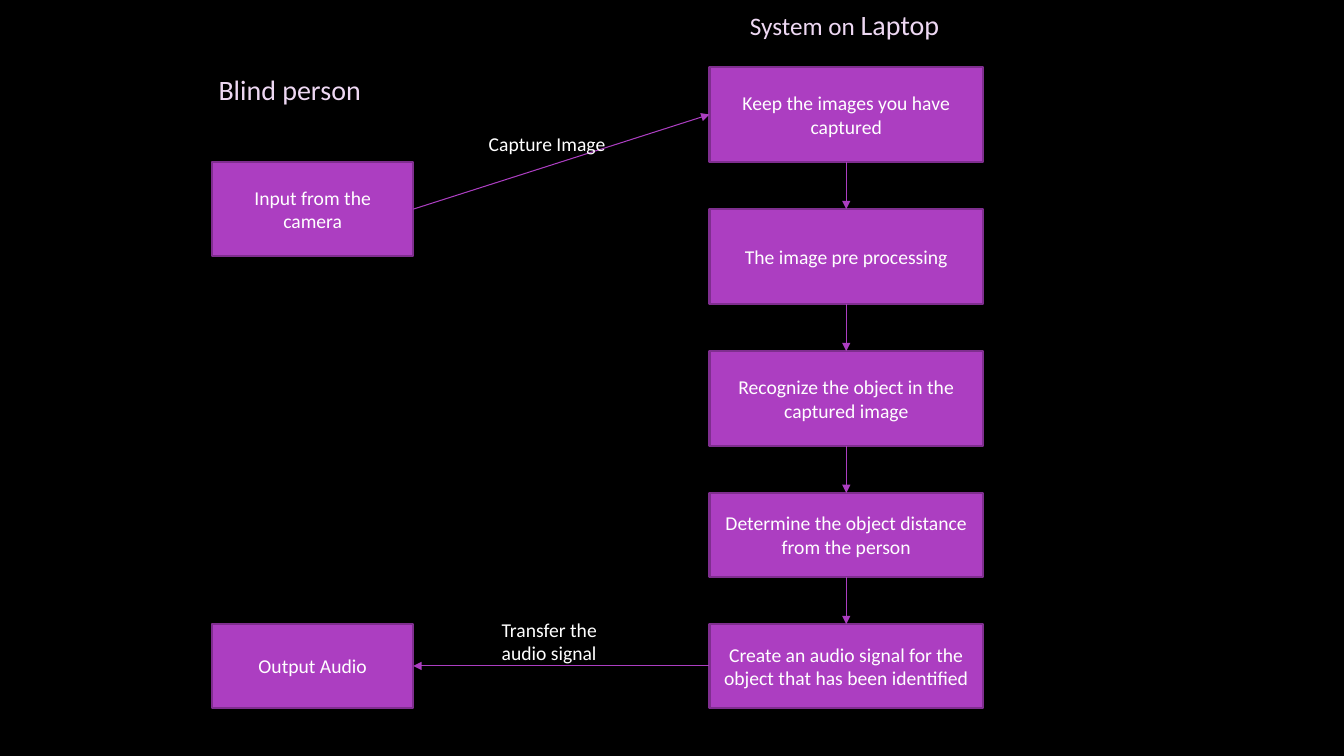
from dataclasses import dataclass

from lxml import etree
from pptx import Presentation
from pptx import util as u
from pptx.dml.color import RGBColor
from pptx.enum import shapes, text
from pptx.oxml import ns


@dataclass(frozen=True)
class Theme:
    background: RGBColor = RGBColor.from_string("000000")
    box: RGBColor = RGBColor.from_string("AC3EC1")
    border: RGBColor = RGBColor.from_string("7F2E8F")
    label: RGBColor = RGBColor.from_string("FFFFFF")
    heading: RGBColor = RGBColor.from_string("EED8F3")
    font: str = "Calibri"
    label_size: int = 14
    subheading_size: int = 18
    heading_size: int = 20


theme = Theme()
TOP, LEFT, BOTTOM, RIGHT = range(4)


def write(shape, lines, size, color, alignment, anchor, wrap=True):
    frame = shape.text_frame
    frame.text = lines
    frame.word_wrap = wrap
    frame.vertical_anchor = anchor
    for paragraph in frame.paragraphs:
        paragraph.alignment = alignment
        paragraph.font.name = theme.font
        paragraph.font.size = u.Pt(size)
        paragraph.font.color.rgb = color


def add_box(lines, left, top, width, height):
    shape = slide.shapes.add_shape(
        shapes.MSO_SHAPE.RECTANGLE, u.Pt(left), u.Pt(top), u.Pt(width), u.Pt(height))
    shape.shadow.inherit = False
    shape.fill.solid()
    shape.fill.fore_color.rgb = theme.box
    shape.line.color.rgb = theme.border
    shape.line.width = u.Pt(1.5)
    write(shape, lines, theme.label_size, theme.label,
          text.PP_ALIGN.CENTER, text.MSO_ANCHOR.MIDDLE)
    return shape


presentation = Presentation()
presentation.slide_width = u.Pt(960)
presentation.slide_height = u.Pt(540)
slide = presentation.slides.add_slide(presentation.slide_layouts[5])
slide.background.fill.solid()
slide.background.fill.fore_color.rgb = theme.background

title = slide.shapes.title
title.left, title.top, title.width, title.height = map(u.Pt, (528.5, 1.5, 151, 31.5))
write(title, "System on ", theme.heading_size, theme.heading,
      text.PP_ALIGN.LEFT, text.MSO_ANCHOR.TOP, wrap=False)
title.text_frame.auto_size = text.MSO_AUTO_SIZE.NONE
title_line = title.text_frame.paragraphs[0]
title_line.runs[0].font.size = u.Pt(theme.subheading_size)
title_line.add_run().text = "Laptop"

tall, short, gap = 67.6, 59.8, 33.8
steps = [
    ("Keep the images you have captured", tall),
    ("The image pre processing", tall),
    ("Recognize the object in the captured image", tall),
    ("Determine the object distance from the person", short),
    ("Create an audio signal for the object that has been identified", short),
]
step_boxes = []
top = 48
for step, height in steps:
    step_boxes.append(add_box(step, 506.8, top, 195.4, height))
    top += height + gap

person_left, person_width = 151.6, 143.6
camera = add_box("Input from the\ncamera", person_left, 48 + tall, person_width, tall)
audio = add_box("Output Audio", person_left, top - gap - short, person_width, short)

links = [(upper, BOTTOM, lower, TOP) for upper, lower in zip(step_boxes, step_boxes[1:])]
links += [(step_boxes[-1], LEFT, audio, RIGHT), (camera, RIGHT, step_boxes[0], LEFT)]
for source, source_side, target, target_side in links:
    arrow = slide.shapes.add_connector(shapes.MSO_CONNECTOR.STRAIGHT, 0, 0, 0, 0)
    arrow.begin_connect(source, source_side)
    arrow.end_connect(target, target_side)
    arrow.line.color.rgb = theme.box
    arrow.line.width = u.Pt(0.75)
    etree.SubElement(arrow.line._get_or_add_ln(), ns.qn("a:tailEnd"), type="triangle")
    etree.SubElement(arrow._element.spPr, ns.qn("a:effectLst"))

captions = [
    ("Transfer the audio signal", 351.2, 437.8, 115, 41, theme.label_size, theme.label),
    ("Capture Image", 342, 90.7, 108.7, 24.5, theme.label_size, theme.label),
    ("Blind person", 149, 48.2, 138.2, 53.3, theme.heading_size, theme.heading),
]
for caption, left, top, width, height, size, color in captions:
    text_box = slide.shapes.add_textbox(u.Pt(left), u.Pt(top), u.Pt(width), u.Pt(height))
    write(text_box, caption, size, color, text.PP_ALIGN.LEFT, text.MSO_ANCHOR.TOP)

presentation.save("out.pptx")
